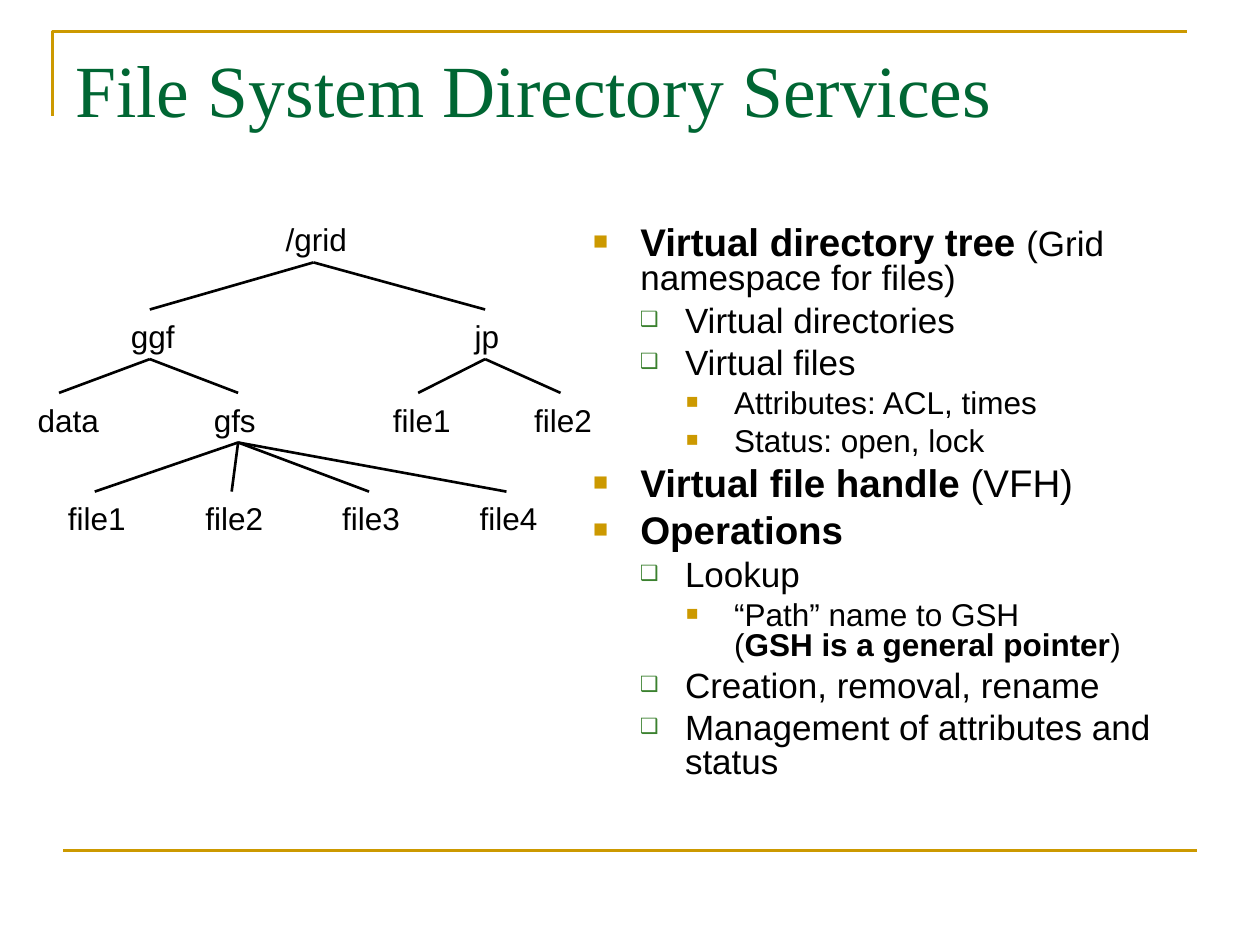
"""Build the File System Directory Services slide."""
from lxml import etree
from pptx import Presentation
from pptx.dml.color import RGBColor
from pptx.enum import shapes, text
from pptx.oxml import ns
from pptx.util import Cm, Pt

GOLD = RGBColor(0xCC, 0x99, 0x00)
GREEN = RGBColor(0x00, 0x66, 0x33)
LEAF = RGBColor(0x3B, 0x81, 0x2F)
BLACK = RGBColor(0, 0, 0)

TITLE = "File System Directory Services"
BOLD_MARK = "*"
LINE_BREAK = "\v"
OUTLINE = [
    (0, "*Virtual directory tree *", "(Grid namespace for files)"),
    (1, "Virtual directories", ""),
    (1, "Virtual files", ""),
    (2, "Attributes: ACL, times", ""),
    (2, "Status: open, lock", ""),
    (0, "*Virtual file handle* (VFH)", ""),
    (0, "*Operations*", ""),
    (1, "Lookup", ""),
    (2, "“Path” name to GSH\v(*GSH is a general pointer*)", ""),
    (1, "Creation, removal, rename", ""),
    (1, "Management of attributes and status", ""),
]
LEVELS = [
    dict(size=22, margin=0.95, hang=0.95, before=5.5, bullet="■", color=GOLD, scale=65),
    dict(size=20, margin=1.85, hang=0.91, before=5, bullet="❑", color=LEAF, scale=60),
    dict(size=18, margin=2.84, hang=0.97, before=4.5, bullet="■", color=GOLD, scale=65),
]
SMALL_TAIL = 20

ROW_TOPS = [4.32, 6.27, 7.95, 9.94]
LABEL_HEIGHT = 1.02
TREE = [
    ("/grid", None, 0, 5.51, 1.78, 6.32),
    ("ggf", 0, 1, 2.39, 1.42, 3.02),
    ("jp", 0, 1, 9.32, 1.04, 9.78),
    ("data", 1, 2, 0.51, 1.78, 1.19),
    ("gfs", 1, 2, 4.06, 1.38, 4.8),
    ("file1", 2, 2, 7.67, 1.7, 8.43),
    ("file2", 2, 2, 10.52, 1.7, 11.3),
    ("file1", 4, 3, 1.12, 1.7, 1.91),
    ("file2", 4, 3, 3.89, 1.7, 4.67),
    ("file3", 4, 3, 6.65, 1.7, 7.44),
    ("file4", 4, 3, 9.42, 1.7, 10.21),
]


def add_line(slide, start, end, color):
    line = slide.shapes.add_connector(
        shapes.MSO_CONNECTOR.STRAIGHT, *(Cm(value) for value in (*start, *end)))
    line.line.color.rgb = color
    line.line.width = Pt(1.5)
    etree.SubElement(line._element.spPr, ns.qn("a:effectLst"))


def add_box(slide, left, top, width, height):
    frame = slide.shapes.add_textbox(Cm(left), Cm(top), Cm(width), Cm(height)).text_frame
    frame.word_wrap = True
    return frame


def style(font, name, size, color, bold=False):
    font.name, font.size, font.bold = name, Pt(size), bold
    font.color.rgb = color


def add_bullet(paragraph, level):
    properties = paragraph._p.get_or_add_pPr()
    properties.set("marL", str(Cm(level["margin"])))
    properties.set("indent", str(-Cm(level["hang"])))
    color = etree.SubElement(properties, ns.qn("a:buClr"))
    etree.SubElement(color, ns.qn("a:srgbClr"), val=str(level["color"]))
    etree.SubElement(properties, ns.qn("a:buSzPct"), val=str(level["scale"] * 1000))
    etree.SubElement(properties, ns.qn("a:buFont"), typeface="Arial")
    etree.SubElement(properties, ns.qn("a:buChar"), char=level["bullet"])


def add_wording(paragraph, wording, size):
    for index, part in enumerate(wording.split(BOLD_MARK)):
        for line_number, line in enumerate(part.split(LINE_BREAK)):
            if line_number:
                paragraph.add_line_break()
            if line:
                run = paragraph.add_run()
                run.text = line
                style(run.font, "Arial", size, BLACK, bold=index % 2 == 1)


def add_frame(slide):
    builder = slide.shapes.build_freeform(Cm(1.06), Cm(2.33))
    builder.add_line_segments([(Cm(1.06), Cm(0.63)), (Cm(23.92), Cm(0.63))], close=False)
    corner = builder.convert_to_shape()
    corner.shadow.inherit = False
    corner.fill.background()
    corner.line.color.rgb = GOLD
    corner.line.width = Pt(1.5)
    add_line(slide, (1.27, 17.15), (24.13, 17.15), GOLD)


def add_title(slide):
    frame = add_box(slide, 1.27, 0.76, 22.86, 3.18)
    frame.vertical_anchor = text.MSO_ANCHOR.TOP
    frame.text = TITLE
    style(frame.paragraphs[0].runs[0].font, "Times New Roman", 42, GREEN)


def add_outline(slide):
    frame = add_box(slide, 11.71, 4.45, 13, 12.57)
    for index, (depth, wording, tail) in enumerate(OUTLINE):
        level = LEVELS[depth]
        paragraph = frame.add_paragraph() if index else frame.paragraphs[0]
        paragraph.level = depth
        paragraph.line_spacing = 0.8
        paragraph.space_before = Pt(level["before"] if index else 0)
        add_bullet(paragraph, level)
        add_wording(paragraph, wording, level["size"])
        add_wording(paragraph, tail, SMALL_TAIL)


def add_tree(slide):
    for label, parent, row, left, width, joint in TREE:
        top = ROW_TOPS[row]
        frame = add_box(slide, left, top, width, LABEL_HEIGHT)
        frame.word_wrap = False
        frame.auto_size = text.MSO_AUTO_SIZE.SHAPE_TO_FIT_TEXT
        frame.text = label
        style(frame.paragraphs[0].runs[0].font, "Arial", 18, BLACK)
        if parent is not None:
            parent_row, parent_joint = TREE[parent][2], TREE[parent][5]
            start = (parent_joint, ROW_TOPS[parent_row] + 0.97)
            add_line(slide, start, (joint, top - 0.03), BLACK)


def main():
    presentation = Presentation()
    presentation.slide_width, presentation.slide_height = Cm(25.4), Cm(19.05)
    slide = presentation.slides.add_slide(presentation.slide_layouts[6])
    add_frame(slide)
    add_title(slide)
    add_outline(slide)
    add_tree(slide)
    presentation.save("out.pptx")


if __name__ == "__main__":
    main()
